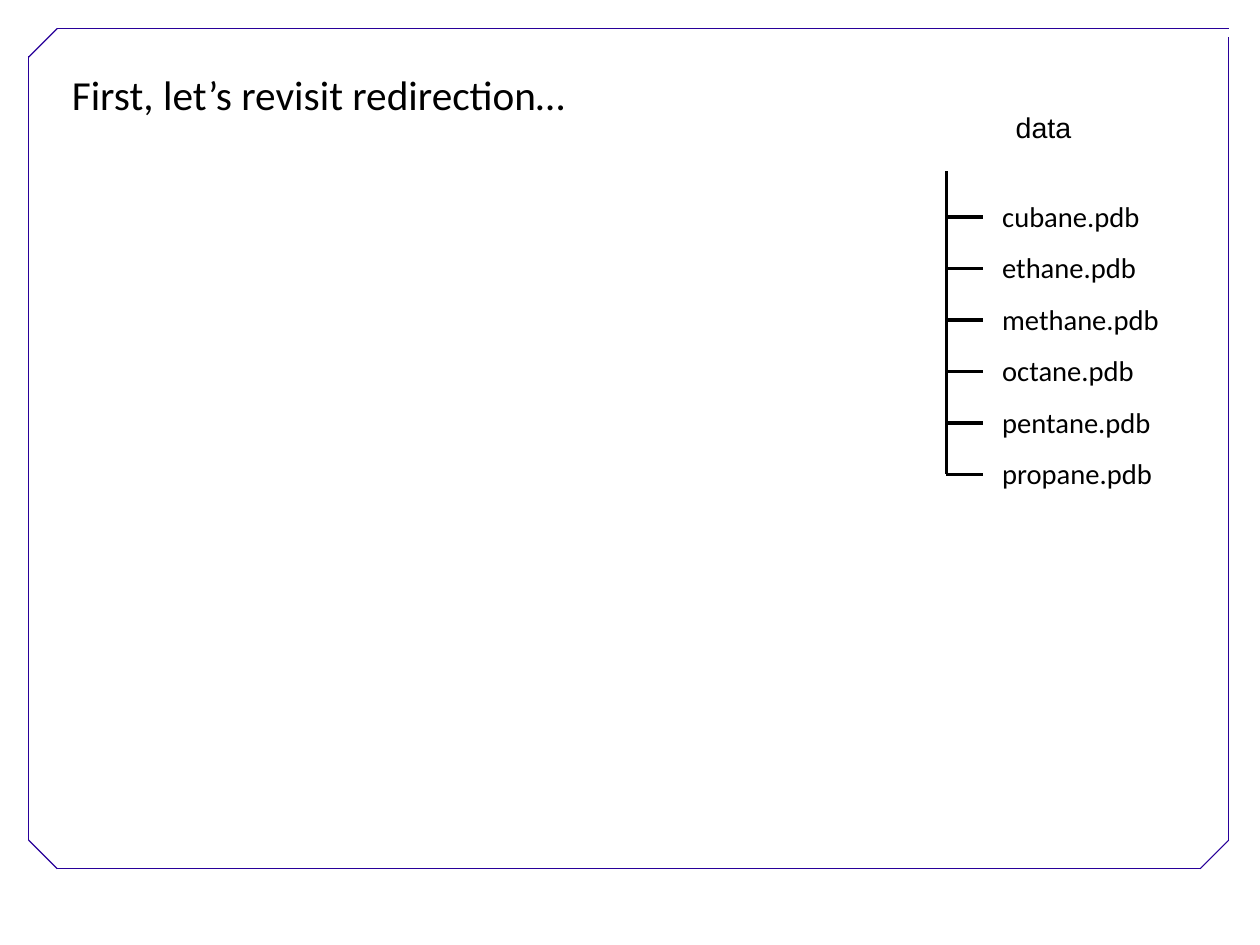
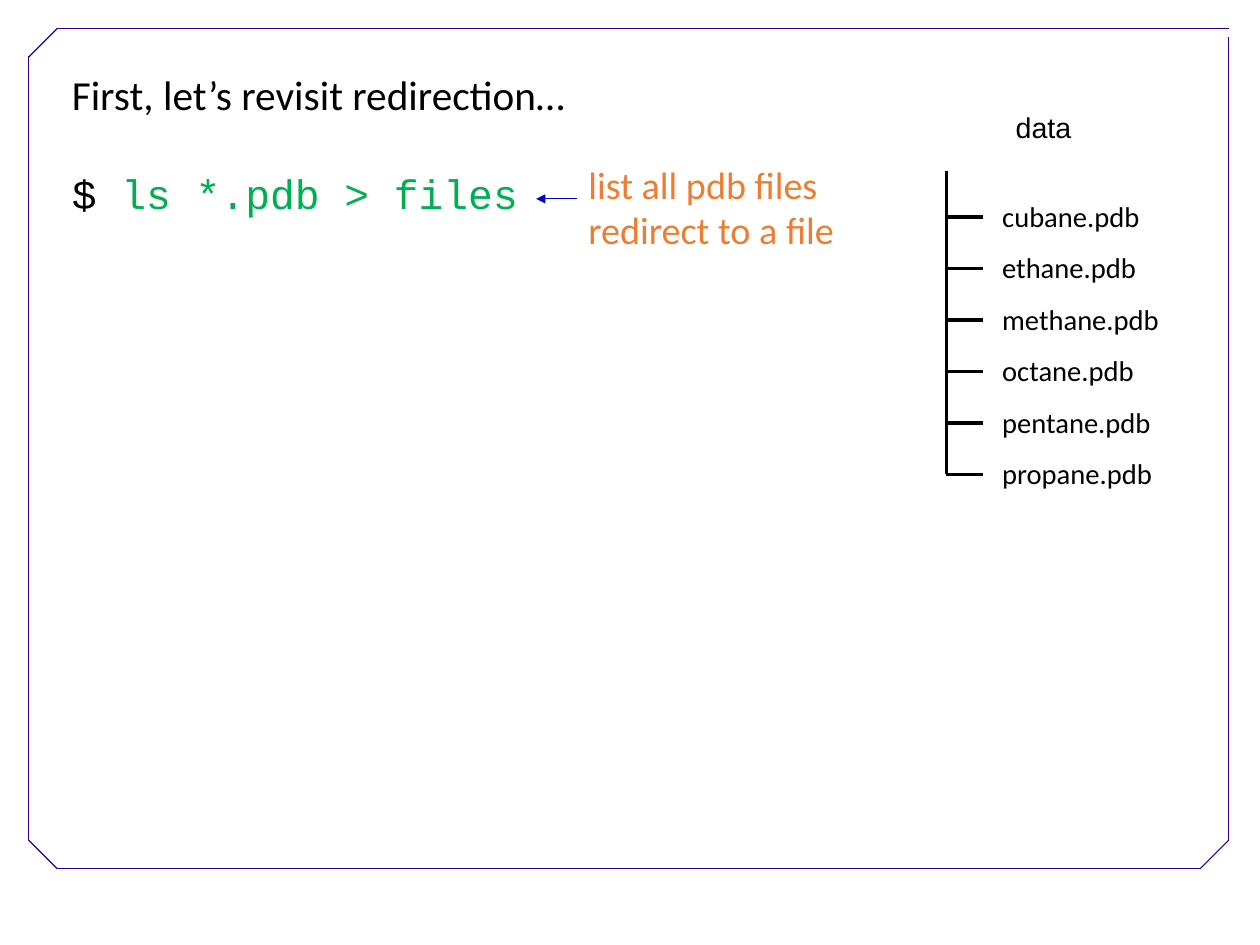
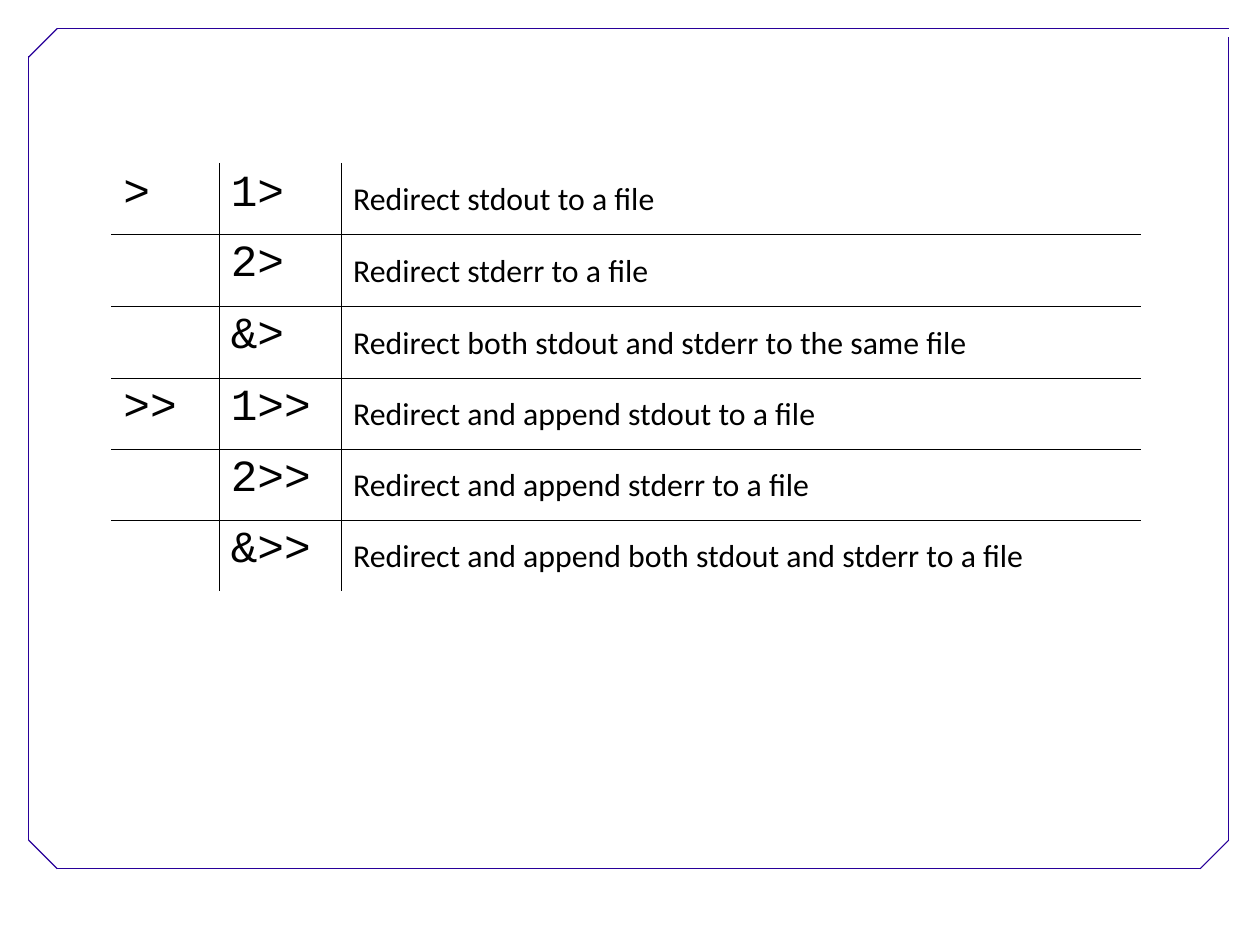
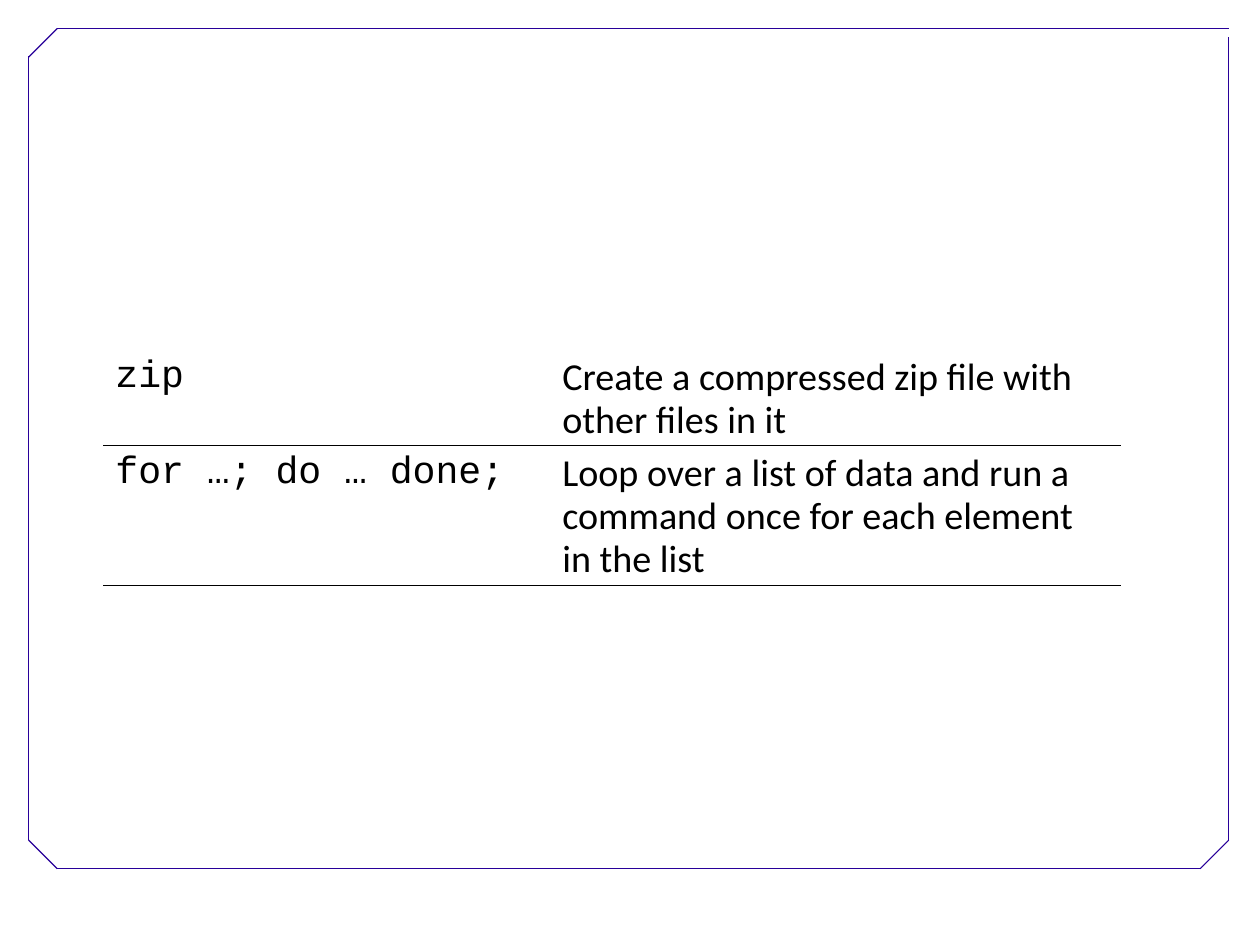
from lxml import etree
from pptx import Presentation
from pptx.dml.color import RGBColor
from pptx.enum.shapes import MSO_CONNECTOR
from pptx.enum.text import MSO_ANCHOR, PP_ALIGN
from pptx.oxml.ns import qn
from pptx.util import Cm, Inches, Pt

STRAIGHT = MSO_CONNECTOR.STRAIGHT
TOP, MIDDLE = MSO_ANCHOR.TOP, MSO_ANCHOR.MIDDLE
LEFT, CENTER = PP_ALIGN.LEFT, PP_ALIGN.CENTER

BLACK, FRAME, ARROW = "000000", "280099", "0000CC"
GREEN, ORANGE = "00B050", "ED7D31"
SANS, MONO, LABEL = "Calibri", "Courier New", "Arial"
TIGHT = 0.93

TITLE = "First, let’s revisit redirection…"
PROMPT, COMMAND = "$ ", "ls *.pdb > files"
NOTE = ["list all pdb files", "redirect to a file"]
FOLDER = "data"
FILES = ["cubane.pdb", "ethane.pdb", "methane.pdb",
         "octane.pdb", "pentane.pdb", "propane.pdb"]

REDIRECTIONS = [
    (">", "1>", "Redirect stdout to a file"),
    ("", "2>", "Redirect stderr to a file"),
    ("", "&>", "Redirect both stdout and stderr to the same file"),
    (">>", "1>>", "Redirect and append stdout to a file"),
    ("", "2>>", "Redirect and append stderr to a file"),
    ("", "&>>", "Redirect and append both stdout and stderr to a file"),
]
COMMANDS = [
    ("zip", "Create a compressed zip file with other files in it"),
    ("for …; do … done;",
     "Loop over a list of data and run a command once for each element in the list"),
]

# Frame sides and cut corners; the top right corner stays open
FRAME_LINES = [
    (0.5, 7.6, 10.5, 7.6), (0.25, 7.35, 0.25, 0.49),
    (0.5, 0.25, 10.75, 0.25), (10.75, 7.35, 10.75, 0.32),
    (0.25, 0.5, 0.5, 0.25), (10.5, 7.6, 10.75, 7.35), (0.25, 7.35, 0.5, 7.6),
]


def color(hex_string):
    return RGBColor.from_string(hex_string)


def style(font, size, name, hex_string=BLACK):
    font.size, font.name = Pt(size), name
    font.color.rgb = color(hex_string)


def add_line(slide, x1, y1, x2, y2, hex_string, width, arrow=False):
    line = slide.shapes.add_connector(
        STRAIGHT, Inches(x1), Inches(y1), Inches(x2), Inches(y2))
    line.line.color.rgb = color(hex_string)
    line.line.width = Pt(width)
    if arrow:
        etree.SubElement(line.line._get_or_add_ln(), qn("a:tailEnd"), type="triangle")
    etree.SubElement(line.element.spPr, qn("a:effectLst"))
    return line


def add_text(slide, box, lines, size, name, hex_string=BLACK, spacing=1.0, align=LEFT):
    frame = slide.shapes.add_textbox(*map(Inches, box)).text_frame
    frame.word_wrap = True
    frame.text = "\n".join(lines)
    for paragraph in frame.paragraphs:
        paragraph.alignment = align
        paragraph.line_spacing = spacing
        for run in paragraph.runs:
            style(run.font, size, name, hex_string)
    return frame


def add_frame(slide, layout):
    """Draw the frame on the slide, then move it to the shared layout."""
    for ends in FRAME_LINES:
        layout.shapes.element.append(add_line(slide, *ends, FRAME, 0.75).element)


def add_file_tree(slide):
    trunk, first, step = 8.28, 1.9, 0.45
    last = first + step * (len(FILES) - 1)
    add_text(slide, (8.67, 1.54, 1.6, 2.8), FILES, 18, SANS, spacing=1.5)
    add_line(slide, trunk, 1.5, trunk, last, BLACK, 2.25)
    for index in range(len(FILES)):
        y = first + step * index
        add_line(slide, trunk, y, 8.6, y, BLACK, 2.25)
    add_text(slide, (8.73, 0.94, 0.8, 0.38), [FOLDER], 18, LABEL,
             spacing=TIGHT, align=CENTER)


def add_redirection(slide, title_height):
    title_frame = add_text(slide, (0.53, 0.56, 7.12, title_height), [TITLE], 26, SANS)
    add_file_tree(slide)
    return title_frame


def add_command(slide, frame):
    paragraph = frame.add_paragraph()
    paragraph.space_before = Pt(31)
    for text, hex_string in ((PROMPT, BLACK), (COMMAND, GREEN)):
        run = paragraph.add_run()
        run.text = text
        style(run.font, 26, MONO, hex_string)
    add_text(slide, (5.05, 1.36, 2.6, 0.94), NOTE, 24, SANS, ORANGE)
    add_line(slide, 5.05, 1.74, 4.69, 1.74, ARROW, 0.75, arrow=True)


def set_borders(cell, sides):
    """Rule the given sides, listed in the order L, R, T, B."""
    properties = cell._tc.get_or_add_tcPr()
    for index, side in enumerate(sides):
        border = etree.Element(qn(f"a:ln{side}"), w=str(Pt(0.45)))
        fill = etree.SubElement(border, qn("a:solidFill"))
        etree.SubElement(fill, qn("a:srgbClr"), val=BLACK)
        properties.insert(index, border)


def add_ruled_table(slide, left, top, widths, heights, rows, code_size, text_size,
                    column_rules, bottom_rule):
    """Table of code columns followed by one column of explanation."""
    box = map(Inches, (left, top, sum(widths), sum(heights)))
    table = slide.shapes.add_table(len(rows), len(widths), *box).table
    table.first_row = table.horz_banding = False
    for column, width in zip(table.columns, widths):
        column.width = Inches(width)
    for row, height in zip(table.rows, heights):
        row.height = Inches(height)
    last_row, last_column = len(rows) - 1, len(widths) - 1
    for r, texts in enumerate(rows):
        for c, text in enumerate(texts):
            cell = table.cell(r, c)
            is_text = c == last_column
            cell.text = text
            cell.vertical_anchor = MIDDLE if is_text else TOP
            cell.margin_bottom = Inches(0.03)
            cell.fill.background()
            paragraph = cell.text_frame.paragraphs[0]
            paragraph.line_spacing = TIGHT
            for run in paragraph.runs:
                style(run.font, text_size if is_text else code_size,
                      SANS if is_text else MONO)
            ruled = {"L": column_rules and c > 0,
                     "R": column_rules and c < last_column,
                     "T": r > 0,
                     "B": bottom_rule or r < last_row}
            set_borders(cell, [side for side, wanted in ruled.items() if wanted])


def main():
    presentation = Presentation()
    presentation.slide_width, presentation.slide_height = Cm(28), Cm(21)
    blank = presentation.slide_layouts[6]
    question, answer, redirections, commands = [
        presentation.slides.add_slide(blank) for _ in range(4)]
    add_frame(question, blank)

    add_redirection(question, 0.54)
    add_command(answer, add_redirection(answer, 1.84))
    add_ruled_table(redirections, 0.98, 1.43, [0.94, 1.07, 6.99],
                    [0.62, 0.63, 0.63, 0.62, 0.62, 0.63], REDIRECTIONS, 28, 20,
                    column_rules=True, bottom_rule=False)
    add_ruled_table(commands, 0.91, 3.06, [3.91, 4.98], [0.84, 1.22], COMMANDS, 24, 24,
                    column_rules=False, bottom_rule=True)
    presentation.save("out.pptx")


if __name__ == "__main__":
    main()
